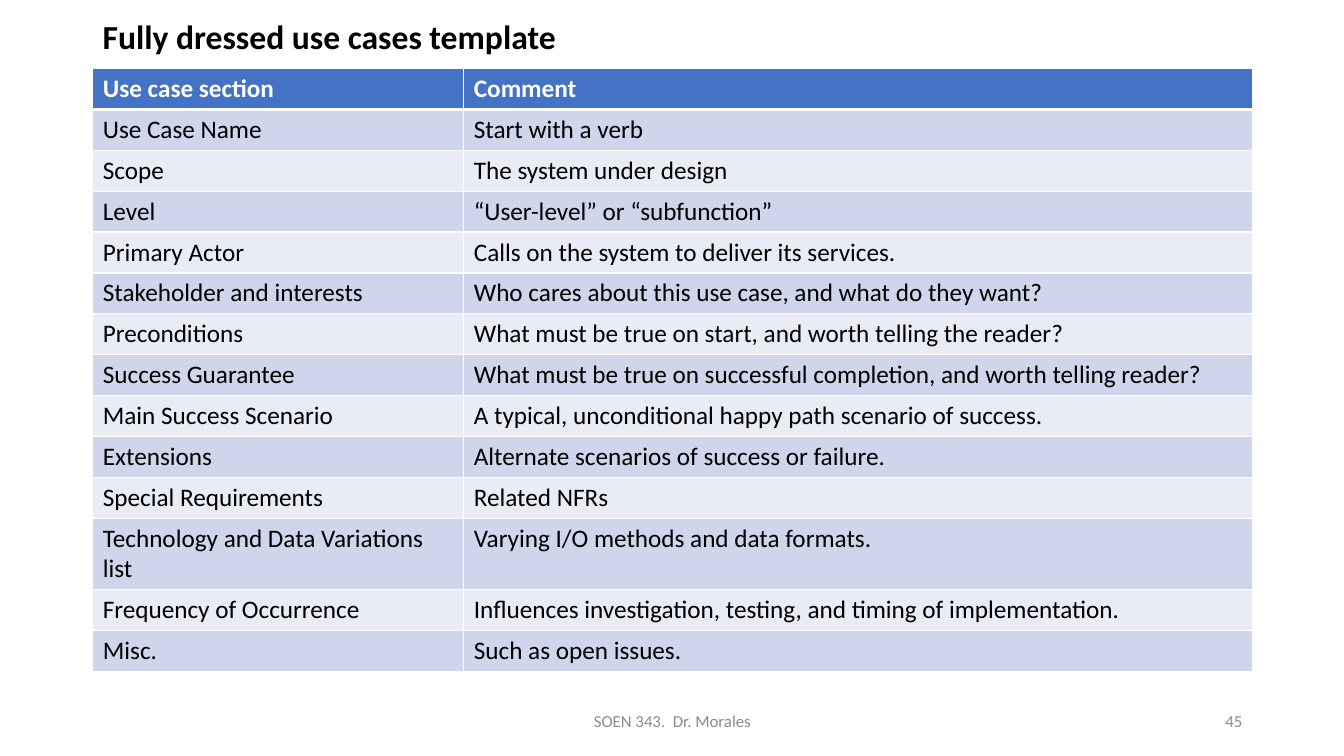
"""Build the slide with the fully dressed use case template table."""
from dataclasses import dataclass

from lxml.etree import SubElement
from pptx import Presentation
from pptx.dml.color import RGBColor
from pptx.enum.text import MSO_ANCHOR as Anchor, PP_ALIGN as Align
from pptx.oxml.ns import qn
from pptx.util import Inches, Pt

BLACK = RGBColor(0x00, 0x00, 0x00)
WHITE = RGBColor(0xFF, 0xFF, 0xFF)
GREY = RGBColor(0x8C, 0x8C, 0x8C)
HEADER_BLUE = RGBColor(0x44, 0x72, 0xC4)
BANDS = (RGBColor(0xE9, 0xEB, 0xF5), RGBColor(0xCF, 0xD5, 0xEA))

LEFT, WIDTH = 0.92, 11.5
TABLE_TOP = 0.68
COL_WIDTHS = (3.68, 7.82)
ROW_HEIGHT = 5.27 / 13
WRAPPED_ROW, WRAPPED_HEIGHT = 11, 0.7

ROWS = (
    ("Use case section", "Comment"),
    ("Use Case Name", "Start with a verb"),
    ("Scope", "The system under design"),
    ("Level", "“User-level” or “subfunction”"),
    ("Primary Actor", "Calls on the system to deliver its services."),
    ("Stakeholder and interests", "Who cares about this use case, and what do they want?"),
    ("Preconditions", "What must be true on start, and worth telling the reader?"),
    ("Success Guarantee", "What must be true on successful completion, and worth telling reader?"),
    ("Main Success Scenario", "A typical, unconditional happy path scenario of success."),
    ("Extensions", "Alternate scenarios of success or failure."),
    ("Special Requirements", "Related NFRs"),
    ("Technology and Data Variations list", "Varying I/O methods and data formats."),
    ("Frequency of Occurrence", "Influences investigation, testing, and timing of implementation."),
    ("Misc.", "Such as open issues."),
)


@dataclass(frozen=True)
class Label:
    """A single-line text box."""
    text: str
    left: float
    top: float
    width: float
    height: float
    size: int
    color: RGBColor
    align: Align
    bold: bool = False
    spacing: float = 1.0


LABELS = (
    Label("Fully dressed use cases template", LEFT, 0.02, WIDTH, 0.72, 24, BLACK, Align.LEFT, True, 0.9),
    Label("SOEN 343.  Dr. Morales", 4.42, 6.95, 4.5, 0.4, 12, GREY, Align.CENTER),
    Label("45", 9.42, 6.95, 3, 0.4, 12, GREY, Align.RIGHT),
)


def write(p, text: str, size: int, color: RGBColor, bold: bool) -> None:
    """Add one formatted run to a paragraph."""
    r = p.add_run()
    r.text = text
    for name, value in {"name": "Calibri", "size": Pt(size), "bold": bold}.items():
        setattr(r.font, name, value)
    r.font.color.rgb = color


def add_label(s, label: Label) -> None:
    """Draw a label as a text box."""
    box = (label.left, label.top, label.width, label.height)
    tf = s.shapes.add_textbox(*map(Inches, box)).text_frame
    for name, value in {"word_wrap": True, "vertical_anchor": Anchor.MIDDLE}.items():
        setattr(tf, name, value)
    p = tf.paragraphs[0]
    for name, value in {"alignment": label.align, "line_spacing": label.spacing}.items():
        setattr(p, name, value)
    write(p, label.text, label.size, label.color, label.bold)


def add_borders(cell, top: int, bottom: int) -> None:
    """Give a cell white borders, widths in points."""
    tc_pr = cell._tc.get_or_add_tcPr()
    for side, width in {"lnL": 1, "lnR": 1, "lnT": top, "lnB": bottom}.items():
        ln = SubElement(tc_pr, qn(f"a:{side}"), w=str(Pt(width)))
        fill = SubElement(ln, qn("a:solidFill"))
        SubElement(fill, qn("a:srgbClr"), val=str(WHITE))


def add_use_case_table(s) -> None:
    """Draw the banded table of use case sections."""
    height = ROW_HEIGHT * (len(ROWS) - 1) + WRAPPED_HEIGHT
    box = map(Inches, (LEFT, TABLE_TOP, WIDTH, height))
    table = s.shapes.add_table(len(ROWS), len(COL_WIDTHS), *box).table
    for column, width in zip(table.columns, COL_WIDTHS):
        column.width = Inches(width)
    for i, texts in enumerate(ROWS):
        table.rows[i].height = Inches(WRAPPED_HEIGHT if i == WRAPPED_ROW else ROW_HEIGHT)
        header = i == 0
        for j, text in enumerate(texts):
            cell = table.cell(i, j)
            add_borders(cell, top=3 if i == 1 else 1, bottom=3 if header else 1)
            cell.fill.solid()
            cell.fill.fore_color.rgb = HEADER_BLUE if header else BANDS[i % 2]
            write(cell.text_frame.paragraphs[0], text, 18, WHITE if header else BLACK, header)


def main() -> None:
    """Create and save the presentation."""
    prs = Presentation()
    prs.slide_width, prs.slide_height = Inches(13.33), Inches(7.5)
    s = prs.slides.add_slide(prs.slide_layouts[6])
    add_use_case_table(s)
    for label in LABELS:
        add_label(s, label)
    prs.save("out.pptx")


if __name__ == "__main__":
    main()
